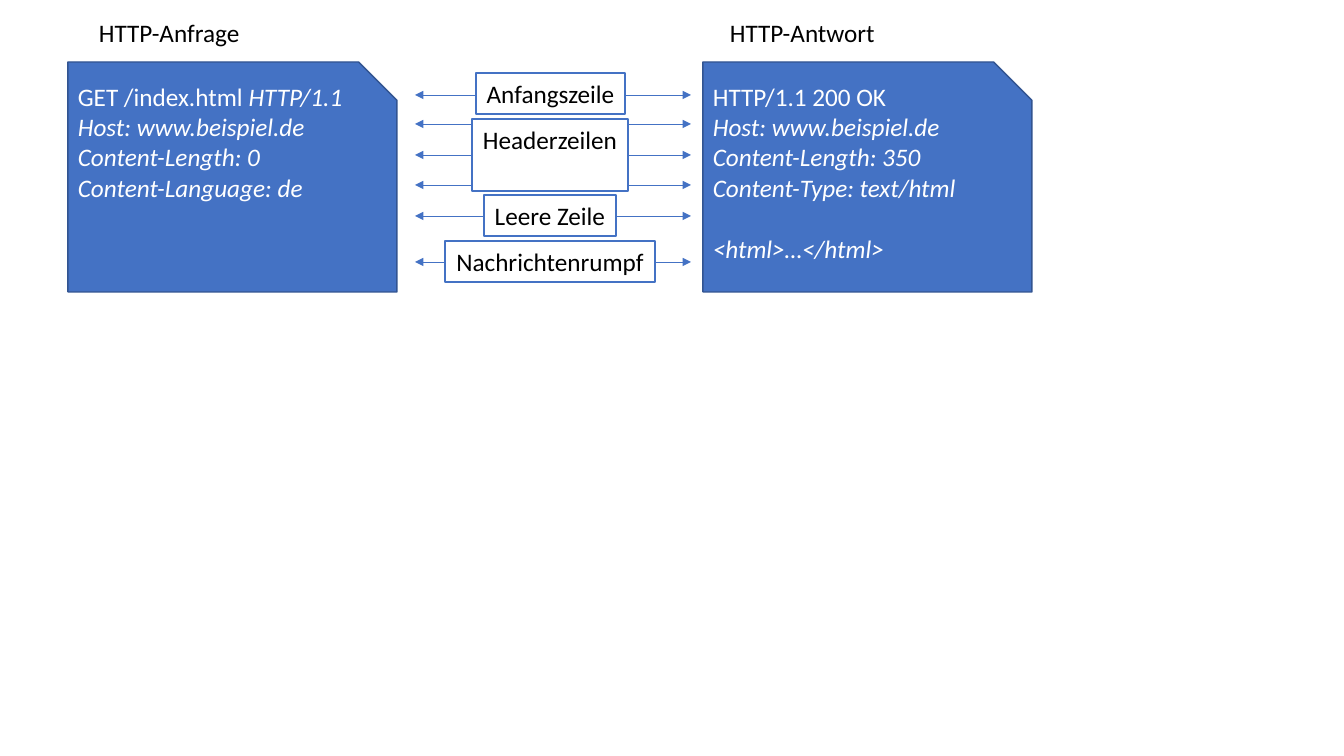
from dataclasses import dataclass

from lxml.etree import SubElement
from pptx import Presentation
from pptx.dml.color import RGBColor as RGB
from pptx.enum.shapes import MSO_CONNECTOR as CONN, MSO_SHAPE as SHAPE
from pptx.enum.text import MSO_ANCHOR as ANCHOR, PP_ALIGN as ALIGN
from pptx.oxml.ns import qn
from pptx.util import Emu, Pt


@dataclass(frozen=True)
class Theme:
    font: str = "Calibri"
    size: int = 18
    blue: str = "4472C4"
    edge: str = "325491"
    white: str = "FFFFFF"
    black: str = "000000"


class Canvas:
    """Draws styled elements on one slide, with lengths in pixels."""

    def __init__(self, slide, theme):
        self.s, self.t = slide, theme

    @staticmethod
    def px(*values):
        return [Emu(round(v * 914400 / 100.8)) for v in values]

    def add_text(self, tf, lines, color, align=ALIGN.LEFT):
        for i, (gap, runs) in enumerate(lines):
            p = tf.paragraphs[0] if i == 0 else tf.add_paragraph()
            p.alignment, p.space_before = align, Pt(gap)
            for text, italic in runs:
                r = p.add_run()
                r.text = text
                r.font.name, r.font.size = self.t.font, Pt(self.t.size)
                r.font.italic = italic
                r.font.color.rgb = RGB.from_string(color)

    def shape(self, kind, box, fill, edge):
        sp = self.s.shapes.add_shape(kind, *self.px(*box))
        sp.shadow.inherit = False
        sp.fill.solid()
        sp.fill.fore_color.rgb = RGB.from_string(fill)
        sp.line.color.rgb = RGB.from_string(edge)
        sp.line.width = Pt(1)
        return sp

    def message(self, x, lines):
        sp = self.shape(SHAPE.SNIP_1_RECTANGLE, (x, 62, 329, 230), self.t.blue, self.t.edge)
        tf = sp.text_frame
        tf.word_wrap, tf.vertical_anchor, tf.margin_top = True, ANCHOR.TOP, 0
        self.add_text(tf, lines, self.t.white)

    def label(self, text, x, y, w, h):
        sp = self.shape(SHAPE.RECTANGLE, (x, y, w, h), self.t.white, self.t.blue)
        tf = sp.text_frame
        tf.word_wrap, tf.vertical_anchor = False, ANCHOR.TOP
        self.add_text(tf, [(0, [(text, False)])], self.t.black, ALIGN.CENTER)

    def heading(self, text, x, y, w, h):
        tf = self.s.shapes.add_textbox(*self.px(x, y, w, h)).text_frame
        tf.word_wrap = True
        self.add_text(tf, [(0, [(text, False)])], self.t.black)

    def arrow(self, x1, x2, y):
        c = self.s.shapes.add_connector(CONN.STRAIGHT, *self.px(x1, y, x2, y))
        c.line.color.rgb = RGB.from_string(self.t.blue)
        c.line.width = Pt(0.5)
        props = c.element.spPr
        ln = props.find(qn("a:ln"))
        for end in ("a:headEnd", "a:tailEnd"):
            SubElement(ln, qn(end), type="triangle")
        SubElement(props, qn("a:effectLst"))


prs = Presentation()
prs.slide_width, prs.slide_height = Canvas.px(1344, 756)
s = Canvas(prs.slides.add_slide(prs.slide_layouts[6]), Theme())

for y in (95, 124, 155, 185, 216, 262):
    s.arrow(415, 691, y)

s.message(68, [
    (0, [("GET /index.html ", False), ("HTTP/1.1", True)]),
    (0, [("Host: www.beispiel.de", True)]),
    (0, [("Content-Length: 0", True)]),
    (0, [("Content-Language: de", True)]),
])
s.message(703, [
    (0, [("HTTP/1.1 200 OK", False)]),
    (0, [("Host: www.beispiel.de", True)]),
    (0, [("Content-Length: 350", True)]),
    (0, [("Content-Type: text/html", True)]),
    (22, [("<html>…</html>", True)]),
])

for text, y, w, h in (
    ("Anfangszeile", 73, 149, 41),
    ("Headerzeilen", 119, 156, 72),
    ("Leere Zeile", 195, 132, 41),
    ("Nachrichtenrumpf", 241, 210, 41),
):
    s.label(text, 550 - w // 2, y, w, h)

s.heading("HTTP-Anfrage", 89, 12, 163, 41)
s.heading("HTTP-Antwort", 720, 12, 167, 41)

prs.save("out.pptx")
